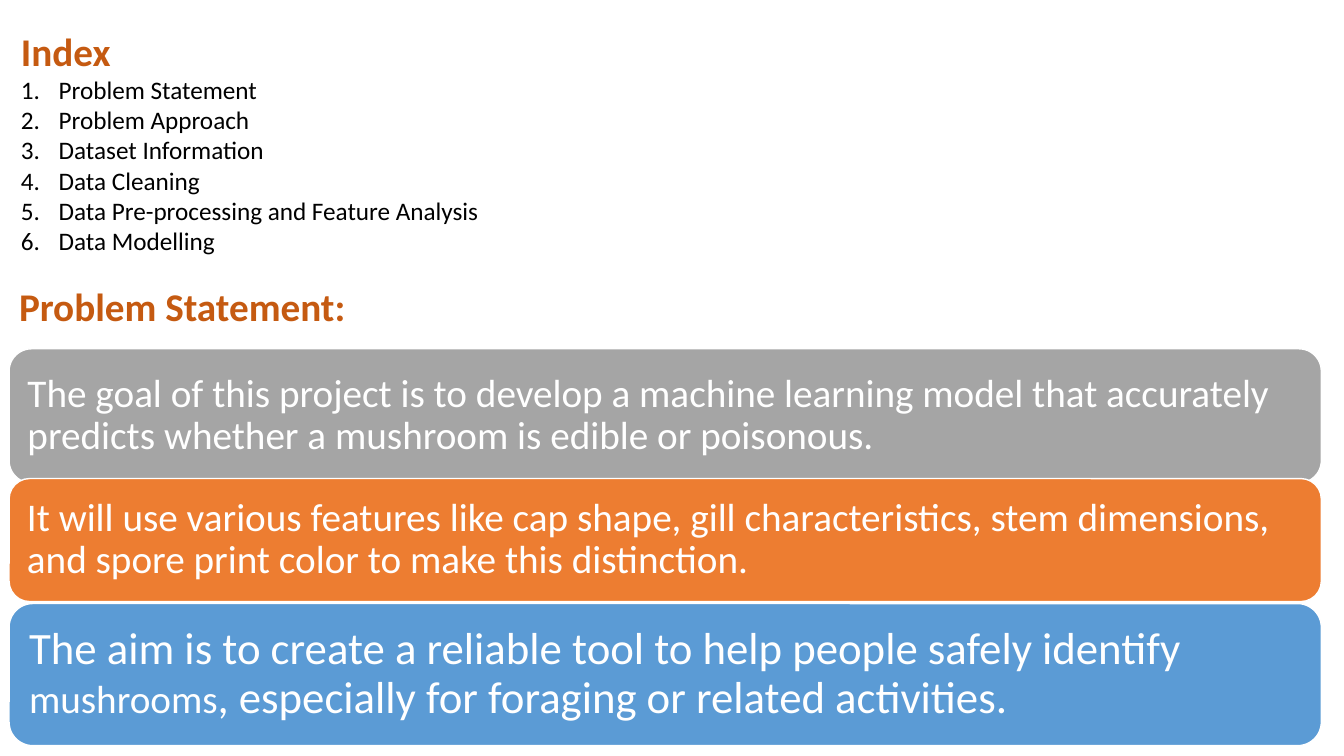
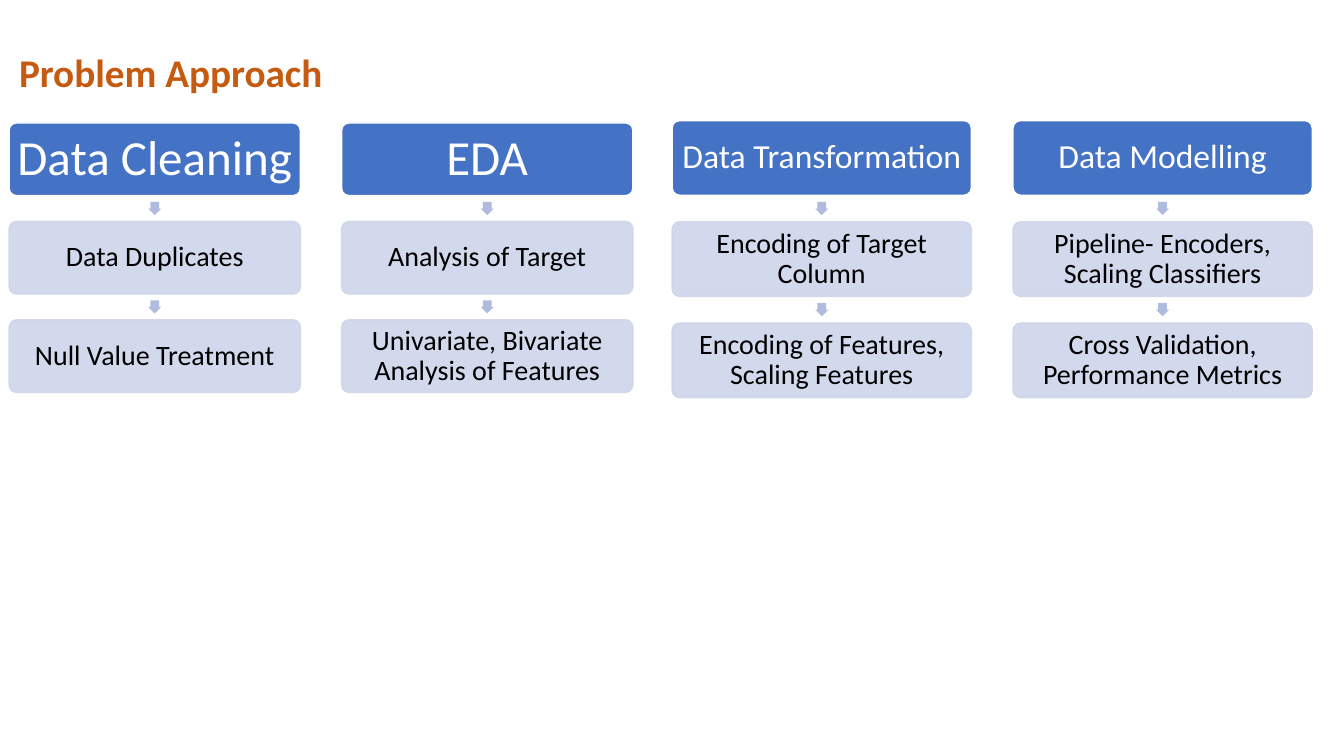
from lxml import etree
from pptx import Presentation
from pptx.dml.color import RGBColor
from pptx.enum.shapes import MSO_SHAPE
from pptx.enum.text import MSO_ANCHOR, PP_ALIGN
from pptx.oxml.ns import qn
from pptx.util import Cm, Pt

ROUND = MSO_SHAPE.ROUNDED_RECTANGLE
ARROW = MSO_SHAPE.DOWN_ARROW
MIDDLE = MSO_ANCHOR.MIDDLE
LEFT, CENTER = PP_ALIGN.LEFT, PP_ALIGN.CENTER

FONT = "Calibri"
WHITE, BLACK, RUST = "FFFFFF", "000000", "C55A11"
GREY, ORANGE, SKY = "A5A5A5", "ED7D31", "5B9BD5"
BLUE, PALE, MIST = "4472C4", "CFD5EA", "B0BCDE"
ink = RGBColor.from_string


def add_title(slide, text, x, y, w, h):
    frame = slide.shapes.add_textbox(Cm(x), Cm(y), Cm(w), Cm(h)).text_frame
    frame.word_wrap = True
    para = frame.paragraphs[0]
    para.text = text
    para.font.name = FONT
    para.font.size = Pt(28)
    para.font.bold = True
    para.font.color.rgb = ink(RUST)
    return frame


def add_card(slide, spot, runs, fill, rim, tint, size, inset, align):
    card = slide.shapes.add_shape(ROUND, *[Cm(v) for v in spot])
    card.shadow.inherit = False
    card.fill.solid()
    card.fill.fore_color.rgb = ink(fill)
    card.line.color.rgb = ink(rim)
    card.line.width = Pt(1)
    frame = card.text_frame
    frame.word_wrap = True
    frame.vertical_anchor = MIDDLE
    frame.margin_left = frame.margin_right = Cm(inset)
    frame.margin_top = frame.margin_bottom = Cm(inset)
    para = frame.paragraphs[0]
    para.alignment = align
    para.line_spacing = 0.9
    para.font.name = FONT
    para.font.size = Pt(size)
    para.font.color.rgb = ink(tint)
    for text, own in runs:
        run = para.add_run()
        run.text = text
        if own:
            run.font.size = Pt(own)
    return card


deck = Presentation()
deck.slide_width, deck.slide_height = Cm(33.87), Cm(19.05)
blank = deck.slide_layouts[6]

slide = deck.slides.add_slide(blank)
add_title(slide, "Problem Statement:", 0.23, 6.99, 26.8, 1.45)

goals = [
    (8.79, 3.38, GREY, 28, 0.3, [
        ("The goal of this project is to develop a machine learning model that "
         "accurately predicts whether a mushroom is edible or poisonous.", None)]),
    (12.06, 3.1, ORANGE, 28, 0.3, [
        ("It will use various features like cap shape, gill characteristics, stem "
         "dimensions, and spore print color to make this distinction.", None)]),
    (15.21, 3.58, SKY, 32, 0.33, [
        ("The aim is to create a reliable tool to help people safely identify ", None),
        ("mushrooms", 28),
        (", especially for foraging or related activities.", None)]),
]
for top, high, fill, size, inset, runs in goals:
    add_card(slide, (0.23, top, 33.07, high), runs, fill, WHITE, WHITE, size, inset, LEFT)

index = add_title(slide, "Index", 0.28, 0.56, 13.13, 6.2)
topics = ["Problem Statement", "Problem Approach", "Dataset Information",
          "Data Cleaning", "Data Pre-processing and Feature Analysis",
          "Data Modelling"]
for topic in topics:
    para = index.add_paragraph()
    para.text = topic
    props = para._p.get_or_add_pPr()
    props.set("marL", str(Cm(0.95)))
    props.set("indent", str(-Cm(0.95)))
    etree.SubElement(props, qn("a:buFont")).set("typeface", "+mj-lt")
    etree.SubElement(props, qn("a:buAutoNum")).set("type", "arabicPeriod")
    para.font.name = FONT
    para.font.size = Pt(18)
    para.font.color.rgb = ink(BLACK)

slide = deck.slides.add_slide(blank)
groups = [
    (0.23, 8.38, 3.1, 7.34, 1.83, 2.48, 35, 0.12, [
        ["Data Cleaning", "Data Duplicates", "Null Value Treatment"],
        ["EDA", "Analysis of Target", "Univariate, Bivariate Analysis of Features"]]),
    (16.94, 8.59, 3.04, 7.54, 1.88, 2.55, 24, 0.08, [
        ["Data Transformation", "Encoding of Target Column",
         "Encoding of Features, Scaling Features"],
        ["Data Modelling", "Pipeline- Encoders, Scaling Classifiers",
         "Cross Validation, Performance Metrics"]]),
]
side = 0.33
for left, pitch, top, wide, high, step, size, inset, flows in groups:
    for col, flow in enumerate(flows):
        x = left + col * pitch
        for row, text in enumerate(flow):
            y = top + row * step
            spot = (x, y, wide, high)
            runs = [(text, None)]
            if row == 0:
                card = add_card(slide, spot, runs, BLUE, WHITE, WHITE, size, inset, CENTER)
            else:
                card = add_card(slide, spot, runs, PALE, PALE, BLACK, 20, 0.08, CENTER)
                for tone in card._element.spPr.iter(qn("a:srgbClr")):
                    etree.SubElement(tone, qn("a:alpha")).set("val", "90000")
                mid = y - (step - high) / 2
                arrow = slide.shapes.add_shape(
                    ARROW, Cm(x + (wide - side) / 2), Cm(mid - side / 2), Cm(side), Cm(side))
                arrow.shadow.inherit = False
                arrow.adjustments[0] = 0.67
                arrow.adjustments[1] = 0.5
                arrow.fill.solid()
                arrow.fill.fore_color.rgb = ink(MIST)
                arrow.line.fill.background()
            card.adjustments[0] = 0.1

add_title(slide, "Problem Approach", 0.23, 1.09, 14.81, 1.45)

deck.save("out.pptx")
